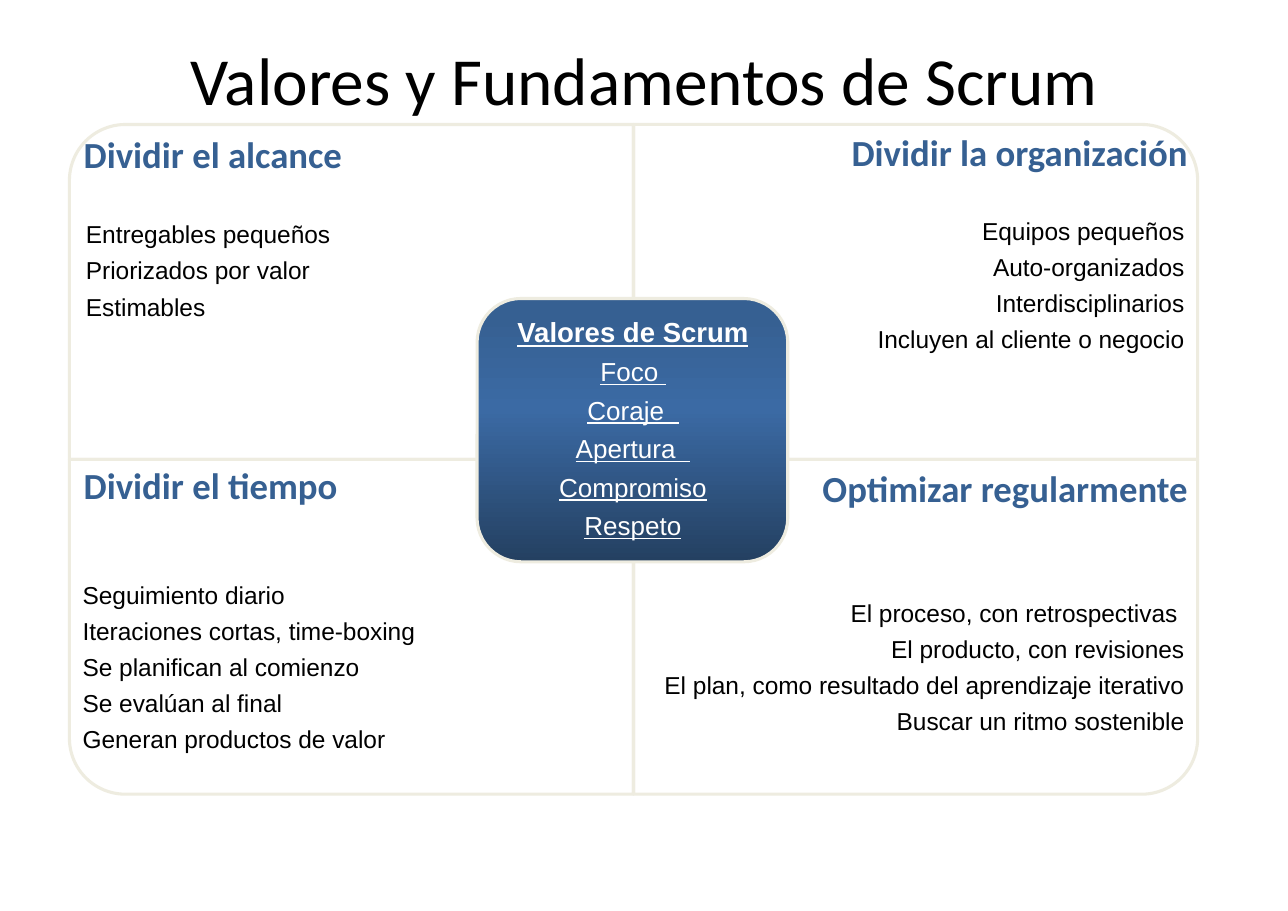
from lxml.etree import SubElement
from pptx import Presentation
from pptx.dml.color import RGBColor
from pptx.enum.shapes import MSO_SHAPE as Kind
from pptx.enum.text import MSO_ANCHOR as Anchor, PP_ALIGN as Align
from pptx.oxml.ns import qn
from pptx.util import Pt

PX = 9144
LEFT, MID, TOP, HALF = 63, 575, 113, 417
WIDE, HIGH = 512, 304
BLUE, EDGE, BLACK, WHITE = "366092", "EEECE0", "000000", "FFFFFF"
STOPS = [(0, BLUE), (7, BLUE), (42, "3B6AA4"), (100, "244061")]

QUADS = [
    (LEFT, TOP, 270),
    (MID, TOP, 0),
    (LEFT, HALF, 180),
    (MID, HALF, 90),
]
LISTS = [
    (LEFT, 133, 15, Align.LEFT,
     ["Entregables pequeños", "Priorizados por valor", "Estimables"]),
    (MID, 146, 12, Align.RIGHT,
     ["Equipos pequeños", "Auto-organizados", "Interdisciplinarios",
      "Incluyen al cliente o negocio"]),
    (LEFT, 493, 12, Align.LEFT,
     ["Seguimiento diario", "Iteraciones cortas, time-boxing",
      "Se planifican al comienzo", "Se evalúan al final",
      "Generan productos de valor"]),
    (MID, 493, 12, Align.RIGHT,
     ["El proceso, con retrospectivas ", "El producto, con revisiones",
      "El plan, como resultado del aprendizaje iterativo",
      "Buscar un ritmo sostenible"]),
]
HEADS = [
    ((65, 112, 268, 56), Align.LEFT, Anchor.MIDDLE, "Dividir el alcance"),
    ((758, 112, 331, 56), Align.RIGHT, Anchor.TOP, "Dividir la organización"),
    ((65, 414, 268, 56), Align.LEFT, Anchor.TOP, "Dividir el tiempo"),
    ((734, 417, 355, 52), Align.RIGHT, Anchor.TOP, "Optimizar regularmente"),
]
VALUES = ["Valores de Scrum", "Foco ", "Coraje  ", "Apertura  ",
          "Compromiso", "Respeto"]


def px(*sizes):
    return [size * PX for size in sizes]


def color(code):
    return RGBColor.from_string(code)


def style(font, name, size, code, bold=False, under=False):
    font.name, font.size = name, Pt(size)
    font.color.rgb = color(code)
    font.bold, font.underline = bold, under


def add_text(slide, area, lines, look, align, inset, anchor=Anchor.MIDDLE,
             gap=0, pitch=1.0):
    frame = slide.shapes.add_textbox(*px(*area)).text_frame
    frame.word_wrap = True
    frame.vertical_anchor = anchor
    side, rim = px(*inset)
    frame.margin_left = frame.margin_right = side
    frame.margin_top = frame.margin_bottom = rim
    frame.text = "\n".join(lines)
    for rank, para in enumerate(frame.paragraphs):
        para.alignment = align
        para.line_spacing = pitch
        if rank:
            para.space_before = Pt(gap)
        for run in para.runs:
            style(run.font, *look)
    return frame


def add_frame(slide, kind, area):
    shape = slide.shapes.add_shape(kind, *px(*area))
    shape.shadow.inherit = False
    shape.adjustments[0] = 0.167
    shape.fill.background()
    shape.line.color.rgb = color(EDGE)
    shape.line.width = Pt(2)
    return shape


def add_quad(slide, left, top, turn):
    wide, high = (HIGH, WIDE) if turn % 180 else (WIDE, HIGH)
    area = left + (WIDE - wide) // 2, top + (HIGH - high) // 2, wide, high
    add_frame(slide, Kind.ROUND_1_RECTANGLE, area).rotation = turn


def shade(shape, stops):
    shape.fill.gradient()
    shape.fill.gradient_angle = 270
    items = shape.fill._xPr.find(qn("a:gradFill")).find(qn("a:gsLst"))
    for old in list(items):
        items.remove(old)
    for place, code in stops:
        stop = SubElement(items, qn("a:gs"), pos=str(place * 1000))
        SubElement(stop, qn("a:srgbClr"), val=code)


def add_core(slide):
    shade(add_frame(slide, Kind.ROUNDED_RECTANGLE, (433, 271, 282, 239)), STOPS)
    frame = add_text(slide, (445, 283, 259, 215), VALUES,
                     ("Arial", 17, WHITE, False, True), Align.CENTER, (7, 7),
                     gap=6.8, pitch=0.9)
    style(frame.paragraphs[0].runs[0].font, "Arial", 18, WHITE, True, True)


def main():
    deck = Presentation()
    deck.slide_width, deck.slide_height = px(1169, 827)
    slide = deck.slides.add_slide(deck.slide_layouts[6])
    add_text(slide, (59, 28, 1052, 86), ["Valores y Fundamentos de Scrum"],
             ("Calibri", 44, BLACK), Align.CENTER, (10, 5))
    for quad in QUADS:
        add_quad(slide, *quad)
    for left, top, inset, align, lines in LISTS:
        add_text(slide, (left, top, WIDE, 228), lines, ("Arial", 16, BLACK),
                 align, (inset, inset), gap=6.3, pitch=0.9)
    add_core(slide)
    for area, align, anchor, head in HEADS:
        add_text(slide, area, [head], ("Calibri", 24, BLUE, True), align,
                 (11, 6), anchor)
    deck.save("out.pptx")


if __name__ == "__main__":
    main()
